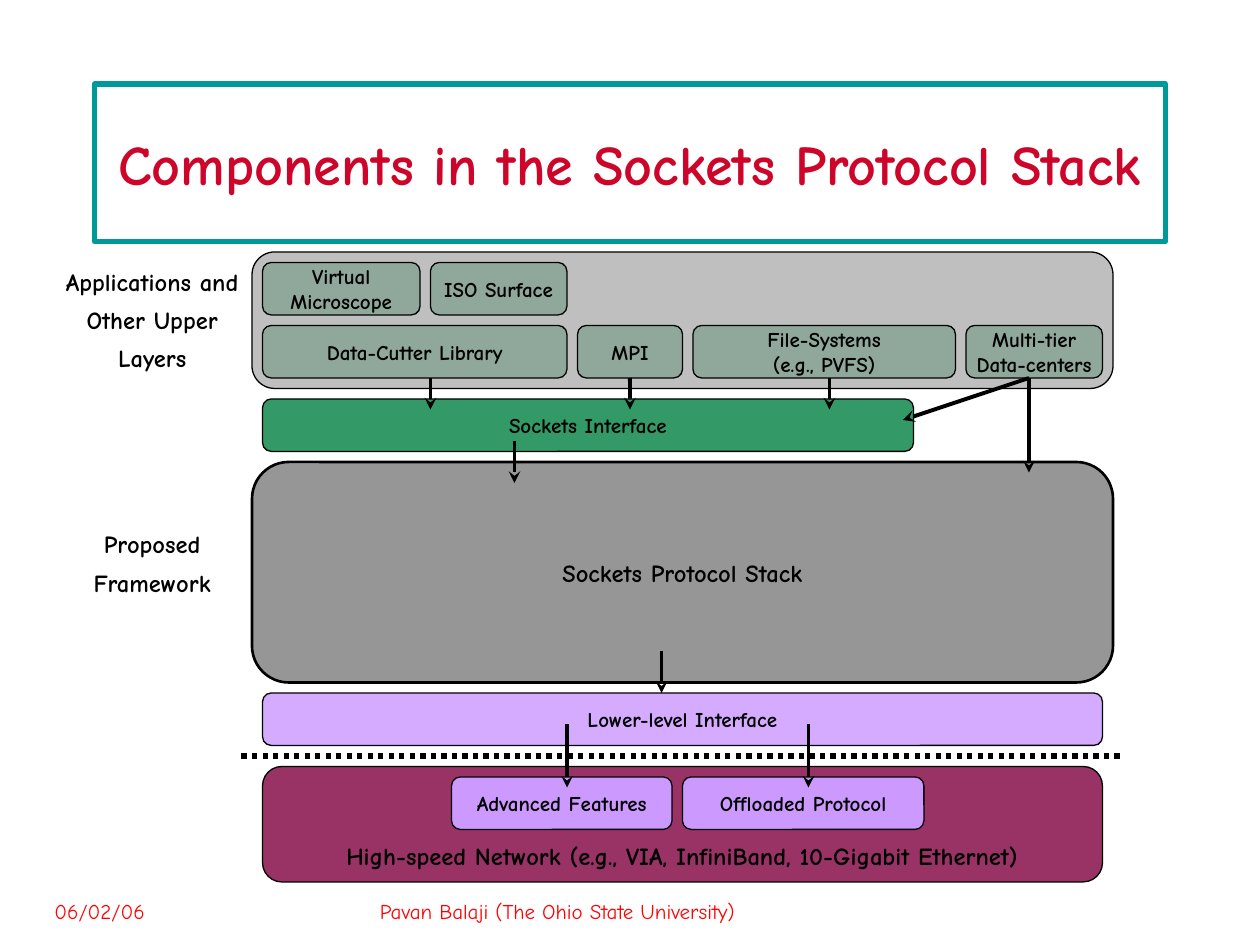
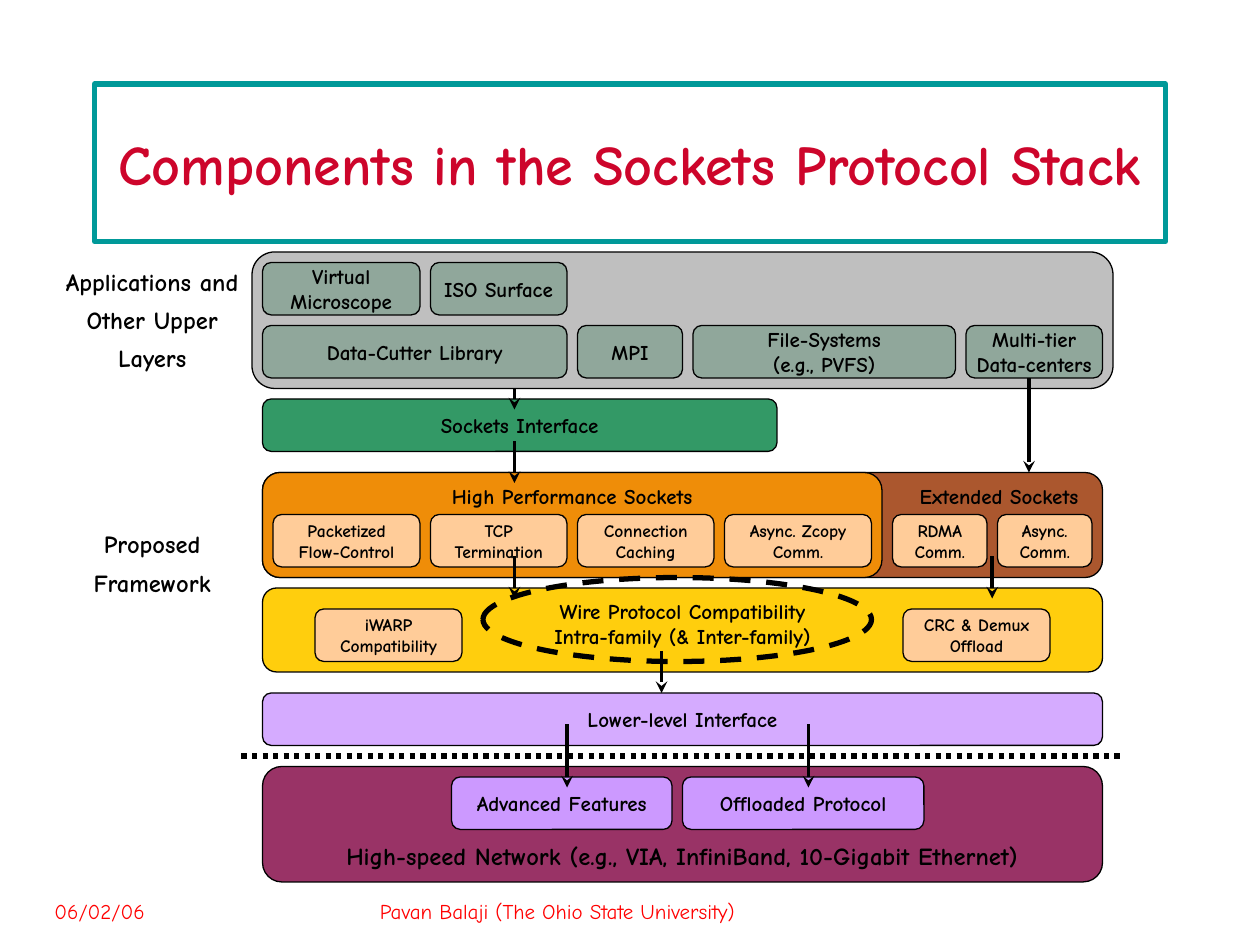
from lxml import etree
from pptx import Presentation
from pptx.dml.color import RGBColor
from pptx.enum.dml import MSO_LINE
from pptx.enum.shapes import MSO_CONNECTOR, MSO_SHAPE
from pptx.enum.text import MSO_ANCHOR, MSO_AUTO_SIZE, PP_ALIGN
from pptx.oxml.ns import qn
from pptx.util import Cm, Pt

TOP, MIDDLE, BOTTOM = MSO_ANCHOR.TOP, MSO_ANCHOR.MIDDLE, MSO_ANCHOR.BOTTOM
LEFT, CENTER, RIGHT = PP_ALIGN.LEFT, PP_ALIGN.CENTER, PP_ALIGN.RIGHT
ROUNDED, OVAL = MSO_SHAPE.ROUNDED_RECTANGLE, MSO_SHAPE.OVAL
STRAIGHT = MSO_CONNECTOR.STRAIGHT
DASH, DOT = MSO_LINE.DASH, MSO_LINE.ROUND_DOT
NO_AUTOSIZE = MSO_AUTO_SIZE.NONE

FONT = "Comic Neue"
TITLE = "Components in the Sockets Protocol Stack"
DATE = "06/02/06"
AUTHOR = "Pavan Balaji (The Ohio State University)"
UNITS_PER_INCH = 12
CELL_H = 5
COLORS = {
    "white": "FFFFFF", "black": "000000", "title": "CD052B", "frame": "009999",
    "footer": "FF0000", "green": "339966", "lilac": "CC99FF", "network": "993366",
    "stack": "969696", "extended": "993300", "performance": "FF9900",
    "wire": "FFCC00", "peach": "FFCC99",
}


def grid(n):
    """Turn grid units (a twelfth of an inch) into a length."""
    return Cm(n * 2.54 / UNITS_PER_INCH)


def rgb(name):
    """Look up a named colour."""
    return RGBColor.from_string(COLORS[name])


def write(tf, text, size, color="black", bold=True, align=CENTER, spacing=None):
    """Write each line of the text as one paragraph."""
    for i, line in enumerate(text.split("\n")):
        p = tf.add_paragraph() if i else tf.paragraphs[0]
        p.alignment = align
        if spacing:
            p.line_spacing = spacing
        r = p.add_run()
        r.text = line
        r.font.name, r.font.size, r.font.bold = FONT, Pt(size), bold
        r.font.color.rgb = rgb(color)


def add_block(slide, box, fill=None, text="", size=12, alpha=None, anchor=MIDDLE,
              align=CENTER, shape=ROUNDED, line=0.75):
    """Draw an outlined block, with optional text and opacity in percent."""
    sp = slide.shapes.add_shape(shape, *map(grid, box))
    sp.shadow.inherit = False
    if fill:
        sp.fill.solid()
        sp.fill.fore_color.rgb = rgb(fill)
    else:
        sp.fill.background()
    if alpha:
        color = sp.element.spPr.find(".//" + qn("a:srgbClr"))
        etree.SubElement(color, qn("a:alpha"), val=str(alpha * 1000))
    sp.line.color.rgb = rgb("black")
    sp.line.width = Pt(line)
    tf = sp.text_frame
    tf.word_wrap, tf.vertical_anchor = False, anchor
    if text:
        write(tf, text, size, align=align)
    return sp


def add_row(slide, x, y, cells, fill, size=12, alpha=None, gap=1):
    """Lay cells of given widths side by side with equal gaps."""
    blocks = []
    for width, text in cells:
        blocks.append(add_block(slide, (x, y, width, CELL_H), fill, text, size, alpha))
        x += width + gap
    return blocks


def add_line(slide, x1, y1, x2, y2, width):
    """Draw a plain black line."""
    c = slide.shapes.add_connector(STRAIGHT, *map(grid, (x1, y1, x2, y2)))
    c.line.color.rgb = rgb("black")
    c.line.width = Pt(width)
    etree.SubElement(c.element.spPr, qn("a:effectLst"))
    return c


def add_arrow(slide, x1, y1, x2, y2):
    """Draw a line with a stealth head at its end."""
    c = add_line(slide, x1, y1, x2, y2, 2.25)
    etree.SubElement(c.line._get_or_add_ln(), qn("a:tailEnd"), type="stealth")
    return c


def add_text(slide, box, text, size, **style):
    """Add a wrapping text box."""
    tf = slide.shapes.add_textbox(*map(grid, box)).text_frame
    tf.word_wrap = True
    write(tf, text, size, **style)


def add_frame(prs):
    """Start a slide with its title, footers and side labels."""
    slide = prs.slides.add_slide(prs.slide_layouts[5])
    title = slide.shapes.title
    title.left, title.top, title.width, title.height = map(grid, (9, 8, 102, 15))
    title.fill.solid()
    title.fill.fore_color.rgb = rgb("white")
    title.line.color.rgb = rgb("frame")
    title.line.width = Pt(3)
    tf = title.text_frame
    tf.word_wrap, tf.auto_size, tf.vertical_anchor = True, NO_AUTOSIZE, MIDDLE
    write(tf, TITLE, 32, "title")
    for x, w, text in ((4, 28, DATE), (35, 50, AUTHOR)):
        add_text(slide, (x, 85, w, 4), text, 12, color="footer", bold=False, align=LEFT)
    for y, h, text in ((24, 12, "Applications and Other Upper Layers"),
                       (49, 8.4, "Proposed Framework")):
        add_text(slide, (5, y, 19, h), text, 14, spacing=1.3)
    return slide


def add_applications(slide, box):
    """Draw the application blocks under a grey veil; return the lower row."""
    x, y = box[:2]
    add_row(slide, x + 1, y + 1, [(15, "Virtual\nMicroscope"), (13, "ISO Surface")],
            "green", alpha=30)
    lower = add_row(slide, x + 1, y + 7, [
        (29, "Data-Cutter Library"), (10, "MPI"),
        (25, "File-Systems\n(e.g., PVFS)"), (13, "Multi-tier\nData-centers"),
    ], "green", alpha=30)
    add_block(slide, box, "black", alpha=25)
    return lower


def add_network(slide, box):
    """Draw the network with its divider, features and incoming arrows."""
    x, y, w = box[:3]
    add_block(slide, box, "network",
              "High-speed Network (e.g., VIA, InfiniBand, 10-Gigabit Ethernet)",
              14, anchor=BOTTOM)
    divider = add_line(slide, x - 2, y - 1, x + w + 2, y - 1, 3)
    divider.line.dash_style = DOT
    add_row(slide, x + 18, y + 1, [(21, "Advanced Features"), (23, "Offloaded Protocol")],
            "lilac")
    for dx in (29, 52):
        add_arrow(slide, x + dx, y - 4, x + dx, y + 2)


def add_sockets(slide, box):
    """Draw the high performance and extended sockets."""
    x, y, w, h = box
    add_block(slide, box, "extended", "Extended Sockets", alpha=82, anchor=TOP,
              align=RIGHT).text_frame.margin_right = Cm(0.38)
    add_block(slide, (x, y, w - 21, h), "performance", "High Performance Sockets",
              alpha=82, anchor=TOP)
    add_row(slide, x + 1, y + 4, [
        (14, "Packetized\nFlow-Control"), (13, "TCP\nTermination"),
        (13, "Connection\nCaching"), (14, "Async. Zcopy\nComm."),
    ], "peach", 10)
    add_row(slide, x + w - 20, y + 4, [(9, "RDMA\nComm."), (9, "Async.\nComm.")],
            "peach", 10)


def add_wire_protocol(slide, box):
    """Draw the wire protocol layer with its dashed highlight."""
    x, y = box[:2]
    add_block(slide, box, "wire",
              "Wire Protocol Compatibility\nIntra-family (& Inter-family)",
              alpha=95, anchor=TOP)
    add_row(slide, x + 5, y + 2,
            [(14, "iWARP\nCompatibility"), (14, "CRC & Demux\nOffload")],
            "peach", 10, gap=42)
    for dx in (24, 69.5):
        add_arrow(slide, x + dx, y - 3, x + dx, y + 1)
    add_block(slide, (x + 21, y - 1, 37, 8), shape=OVAL, line=3).line.dash_style = DASH


def add_common_layers(slide, interface_width):
    """Draw the layers found on every slide; return the lower application row."""
    apps = add_applications(slide, (24, 24, 82, 13))
    add_block(slide, (25, 38, interface_width, CELL_H), "green", "Sockets Interface")
    add_block(slide, (25, 66, 80, CELL_H), "lilac", "Lower-level Interface", alpha=82)
    add_network(slide, (25, 73, 80, 11))
    return apps


def add_common_arrows(slide):
    """Draw the arrows found on every slide."""
    for x, y1, y2 in ((63, 62, 66), (49, 42, 46), (98, 36, 45)):
        add_arrow(slide, x, y1, x, y2)


def build_overview(prs):
    """Build the slide with the stack as a single block."""
    slide = add_frame(prs)
    mpi = add_common_layers(slide, 62)[1]
    add_block(slide, (24, 44, 82, 21), "stack", "Sockets Protocol Stack", 14, line=1.5)
    add_common_arrows(slide)
    for x in (41, 79):
        add_arrow(slide, x, 36, x, 39)
    add_arrow(slide, 60, 36, 60, 39).begin_connect(mpi, 2)
    add_arrow(slide, 98, 36, 86, 40)


def build_components(prs):
    """Build the slide with the stack split into components."""
    slide = add_frame(prs)
    add_common_layers(slide, 49)
    add_sockets(slide, (25, 45, 80, 10))
    add_wire_protocol(slide, (25, 56, 80, 8))
    add_common_arrows(slide)
    add_arrow(slide, 49, 37, 49, 39)


def main():
    """Build and save the presentation."""
    prs = Presentation()
    prs.slide_width, prs.slide_height = Cm(25.4), Cm(19.05)
    build_overview(prs)
    build_components(prs)
    prs.save("out.pptx")


if __name__ == "__main__":
    main()
